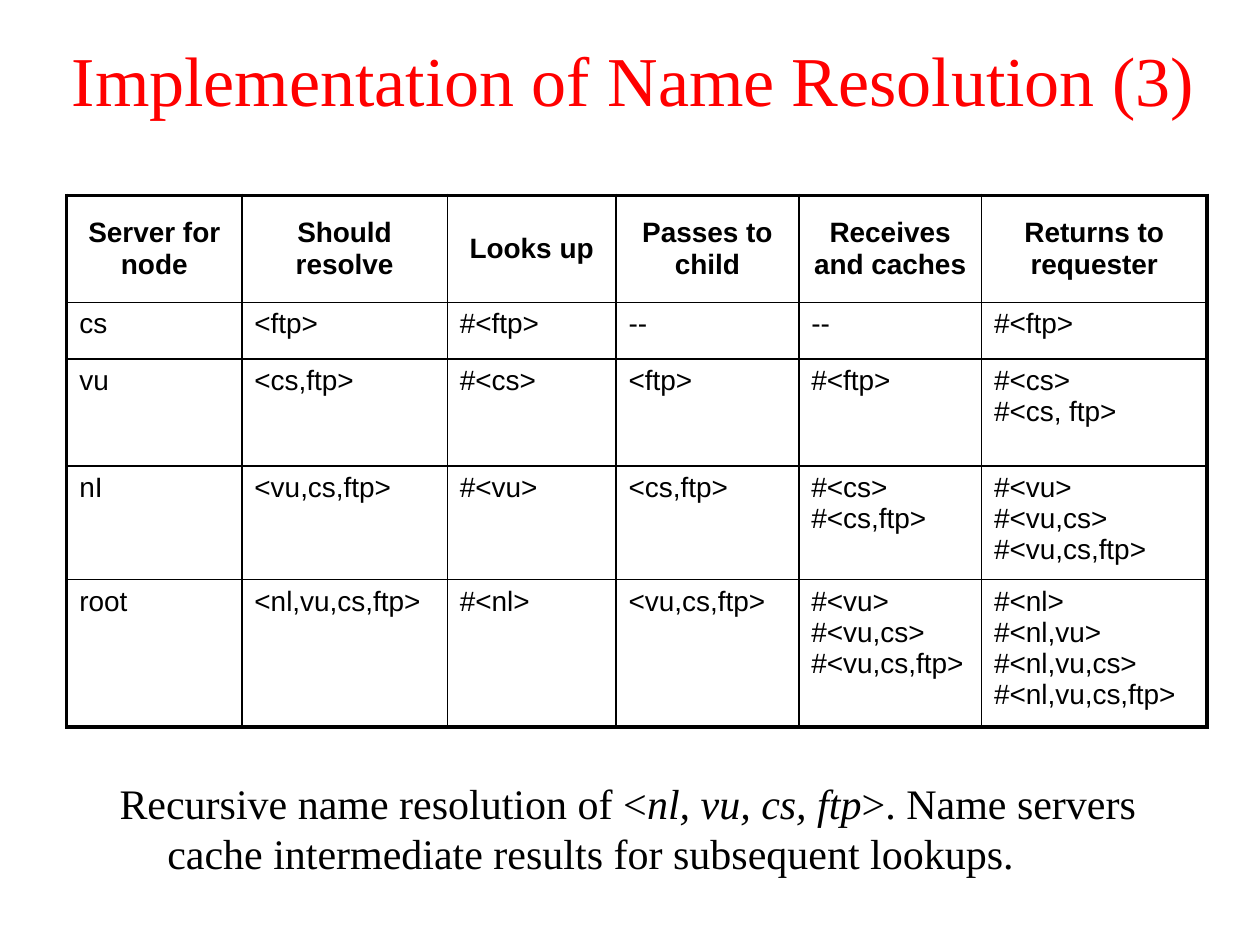
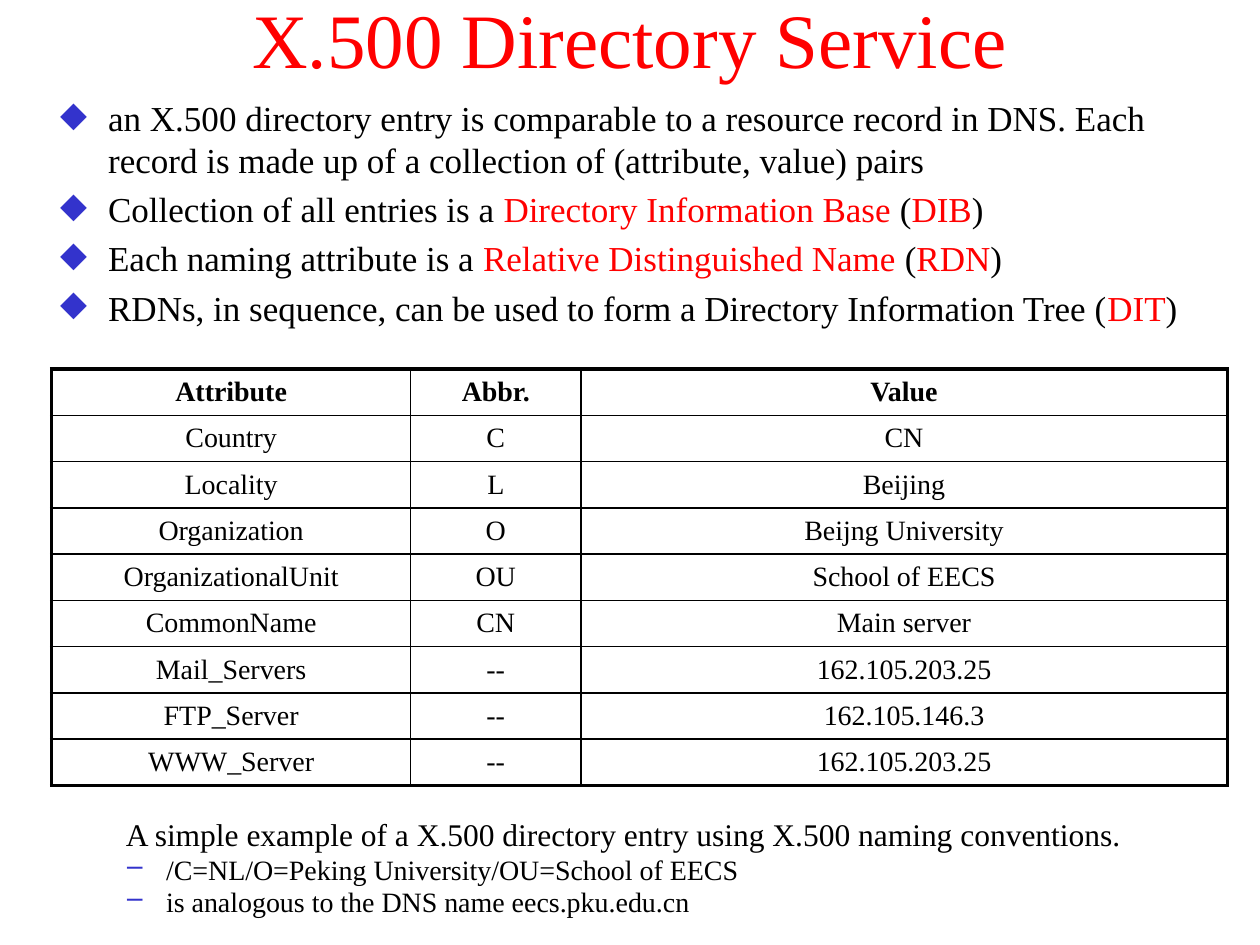
from dataclasses import dataclass
from typing import NamedTuple, Optional

from lxml.etree import SubElement
from pptx import Presentation
from pptx.dml.color import RGBColor
from pptx.enum.text import MSO_ANCHOR, PP_ALIGN
from pptx.oxml.ns import qn
from pptx.slide import Slide
from pptx.table import _Cell
from pptx.text.text import _Paragraph
from pptx.util import Inches, Pt

BLACK = RGBColor(0x00, 0x00, 0x00)
RED = RGBColor(0xFF, 0x00, 0x00)
BULLET_BLUE = RGBColor(0x33, 0x33, 0xCC)
SERIF = "Times New Roman"
SANS = "Arial"
OUTER_LINE = Pt(2.25)
INNER_LINE = Pt(1)
CELL_SIZE = 16


class Area(NamedTuple):
    """Position and size of an object in inches."""

    left: float
    top: float
    width: float
    height: float


class Span(NamedTuple):
    """Piece of text with its own emphasis."""

    text: str
    color: Optional[RGBColor] = None
    italic: Optional[bool] = None


@dataclass
class Line:
    """Paragraph with its spans and layout."""

    spans: list[Span]
    size: float
    margin: float = 0
    hanging: float = 0
    bullet: str = ""
    align: PP_ALIGN = PP_ALIGN.LEFT
    spacing: Optional[float] = None
    color: RGBColor = BLACK


@dataclass
class Grid:
    """Table content and layout."""

    area: Area
    widths: list[float]
    heights: list[float]
    rows: list[list[str]]
    font: str
    centered: bool


def set_font(para: _Paragraph, name: str, size: float, color: RGBColor, bold: bool = False) -> None:
    """Set the font that all spans of a paragraph share."""
    para.font.name = name
    para.font.size = Pt(size)
    para.font.bold = bold
    para.font.color.rgb = color


def set_indent(para: _Paragraph, line: Line) -> None:
    """Give a paragraph its hanging indent and bullet."""
    properties = para._p.get_or_add_pPr()
    properties.set("marL", str(Inches(line.margin)))
    properties.set("indent", str(-Inches(line.hanging)))
    if line.bullet:
        color = SubElement(properties, qn("a:buClr"))
        SubElement(color, qn("a:srgbClr"), val=str(BULLET_BLUE))
        SubElement(properties, qn("a:buChar"), char=line.bullet)
    else:
        SubElement(properties, qn("a:buNone"))


def add_text(page: Slide, area: Area, lines: list[Line], anchor: MSO_ANCHOR = MSO_ANCHOR.TOP) -> None:
    """Add a wrapped text box with the given lines."""
    box = page.shapes.add_textbox(*map(Inches, area))
    frame = box.text_frame
    frame.word_wrap = True
    frame.vertical_anchor = anchor
    for index, line in enumerate(lines):
        para = frame.add_paragraph() if index else frame.paragraphs[0]
        para.alignment = line.align
        if index:
            para.space_before = Pt(line.size * 0.2)
        if line.spacing:
            para.line_spacing = line.spacing
        set_indent(para, line)
        set_font(para, SERIF, line.size, line.color)
        for span in line.spans:
            run = para.add_run()
            run.text = span.text
            if span.color is not None:
                run.font.color.rgb = span.color
            if span.italic is not None:
                run.font.italic = span.italic


def add_title(page: Slide, text: str, area: Area, size: float) -> None:
    """Add a centred red title."""
    line = Line([Span(text)], size, align=PP_ALIGN.CENTER, color=RED)
    add_text(page, area, [line], MSO_ANCHOR.MIDDLE)


def set_borders(cell: _Cell, outer: dict[str, bool]) -> None:
    """Draw heavy lines on outer edges and thin lines elsewhere."""
    properties = cell._tc.get_or_add_tcPr()
    for edge, is_outer in outer.items():
        width = OUTER_LINE if is_outer else INNER_LINE
        border = SubElement(properties, qn(f"a:ln{edge}"), w=str(width))
        fill = SubElement(border, qn("a:solidFill"))
        SubElement(fill, qn("a:srgbClr"), val=str(BLACK))


def add_grid(page: Slide, grid: Grid) -> None:
    """Add a ruled table with a bold header row."""
    last_row, last_column = len(grid.rows) - 1, len(grid.widths) - 1
    frame = page.shapes.add_table(last_row + 1, last_column + 1, *map(Inches, grid.area))
    table = frame.table
    table.first_row = table.horz_banding = False
    for column, width in zip(table.columns, grid.widths):
        column.width = Inches(width)
    for row, height in zip(table.rows, grid.heights):
        row.height = Inches(height)
    for r, texts in enumerate(grid.rows):
        for c, text in enumerate(texts):
            cell = table.cell(r, c)
            centered = grid.centered or r == 0
            set_borders(cell, {"L": c == 0, "R": c == last_column, "T": r == 0, "B": r == last_row})
            cell.fill.background()
            cell.vertical_anchor = MSO_ANCHOR.MIDDLE if centered else MSO_ANCHOR.TOP
            para = cell.text_frame.paragraphs[0]
            para.text = text
            para.alignment = PP_ALIGN.CENTER if centered else PP_ALIGN.LEFT
            set_font(para, grid.font, CELL_SIZE, BLACK, bold=r == 0)


RESOLUTION_GRID = Grid(
    Area(0.53, 1.55, 9.05, 4.22),
    [1.39, 1.63, 1.34, 1.45, 1.45, 1.79],
    [0.85, 0.45, 0.85, 0.9, 1.17],
    [
        ["Server for node", "Should resolve", "Looks up", "Passes to child",
         "Receives and caches", "Returns to requester"],
        ["cs", "<ftp>", "#<ftp>", "--", "--", "#<ftp>"],
        ["vu", "<cs,ftp>", "#<cs>", "<ftp>", "#<ftp>", "#<cs>\n#<cs, ftp>"],
        ["nI", "<vu,cs,ftp>", "#<vu>", "<cs,ftp>", "#<cs>\n#<cs,ftp>",
         "#<vu>\n#<vu,cs>\n#<vu,cs,ftp>"],
        ["root", "<nl,vu,cs,ftp>", "#<nl>", "<vu,cs,ftp>", "#<vu>\n#<vu,cs>\n#<vu,cs,ftp>",
         "#<nl>\n#<nl,vu>\n#<nl,vu,cs>\n#<nl,vu,cs,ftp>"],
    ],
    SANS,
    centered=False,
)

DIRECTORY_ROWS = [
    ["Attribute", "Abbr.", "Value"],
    ["Country", "C", "CN"],
    ["Locality", "L", "Beijing"],
    ["Organization", "O", "Beijng University"],
    ["OrganizationalUnit", "OU", "School of EECS"],
    ["CommonName", "CN", "Main server"],
    ["Mail_Servers", "--", "162.105.203.25"],
    ["FTP_Server", "--", "162.105.146.3"],
    ["WWW_Server", "--", "162.105.203.25"],
]
DIRECTORY_AREA = Area(0.41, 2.93, 9.33, 3.3)
DIRECTORY_GRID = Grid(
    DIRECTORY_AREA,
    [2.85, 1.35, 5.13],
    [DIRECTORY_AREA.height / len(DIRECTORY_ROWS)] * len(DIRECTORY_ROWS),
    DIRECTORY_ROWS,
    SERIF,
    centered=True,
)

DIRECTORY_POINTS = [
    [Span("an X.500 directory entry is comparable to a resource record in DNS. "
          "Each record is made up of a collection of (attribute, value) pairs")],
    [Span("Collection of all entries is a "), Span("Directory Information Base ", RED),
     Span("("), Span("DIB", RED), Span(")")],
    [Span("Each naming attribute is a "), Span("Relative Distinguished Name ", RED),
     Span("("), Span("RDN", RED), Span(")")],
    [Span("RDNs, in sequence, can be used to form a Directory Information Tree ("),
     Span("DIT", RED), Span(")")],
]
NAMING_EXAMPLES = [
    "/C=NL/O=Peking University/OU=School of EECS",
    "is analogous to the DNS name eecs.pku.edu.cn",
]


def build_resolution(page: Slide) -> None:
    """Build the name resolution slide."""
    add_title(page, "Implementation of Name Resolution (3)", Area(0.26, 0.13, 9.53, 0.99), 40)
    caption = [
        Span("Recursive name resolution of <"),
        Span("nl, vu, cs, ftp", italic=True),
        Span(">. Name servers cache intermediate results for subsequent lookups."),
    ]
    add_text(page, Area(0.85, 6.12, 8.28, 0.92), [Line(caption, 24, 0.38, 0.38)])
    add_grid(page, RESOLUTION_GRID)


def build_directory(page: Slide) -> None:
    """Build the directory service slide."""
    add_title(page, "X.500 Directory Service", Area(0, 0, 10, 0.59), 44)
    points = [Line(spans, 20, 0.38, 0.38, "◆") for spans in DIRECTORY_POINTS]
    add_text(page, Area(0.38, 0.72, 9.36, 2.09), points)
    caption = Line(
        [Span("A simple example of a X.500 directory entry using X.500 naming conventions.")],
        18, 0.38, 0.38, align=PP_ALIGN.CENTER, spacing=0.8,
    )
    examples = [Line([Span(text)], 16, 0.81, 0.31, "–", spacing=0.8) for text in NAMING_EXAMPLES]
    add_text(page, Area(0.41, 6.48, 9.08, 0.92), [caption, *examples])
    add_grid(page, DIRECTORY_GRID)


def main() -> None:
    """Build and save the deck."""
    deck = Presentation()
    deck.slide_width, deck.slide_height = Inches(10), Inches(7.5)
    blank = deck.slide_layouts[6]
    for build in (build_resolution, build_directory):
        build(deck.slides.add_slide(blank))
    deck.save("out.pptx")


if __name__ == "__main__":
    main()
